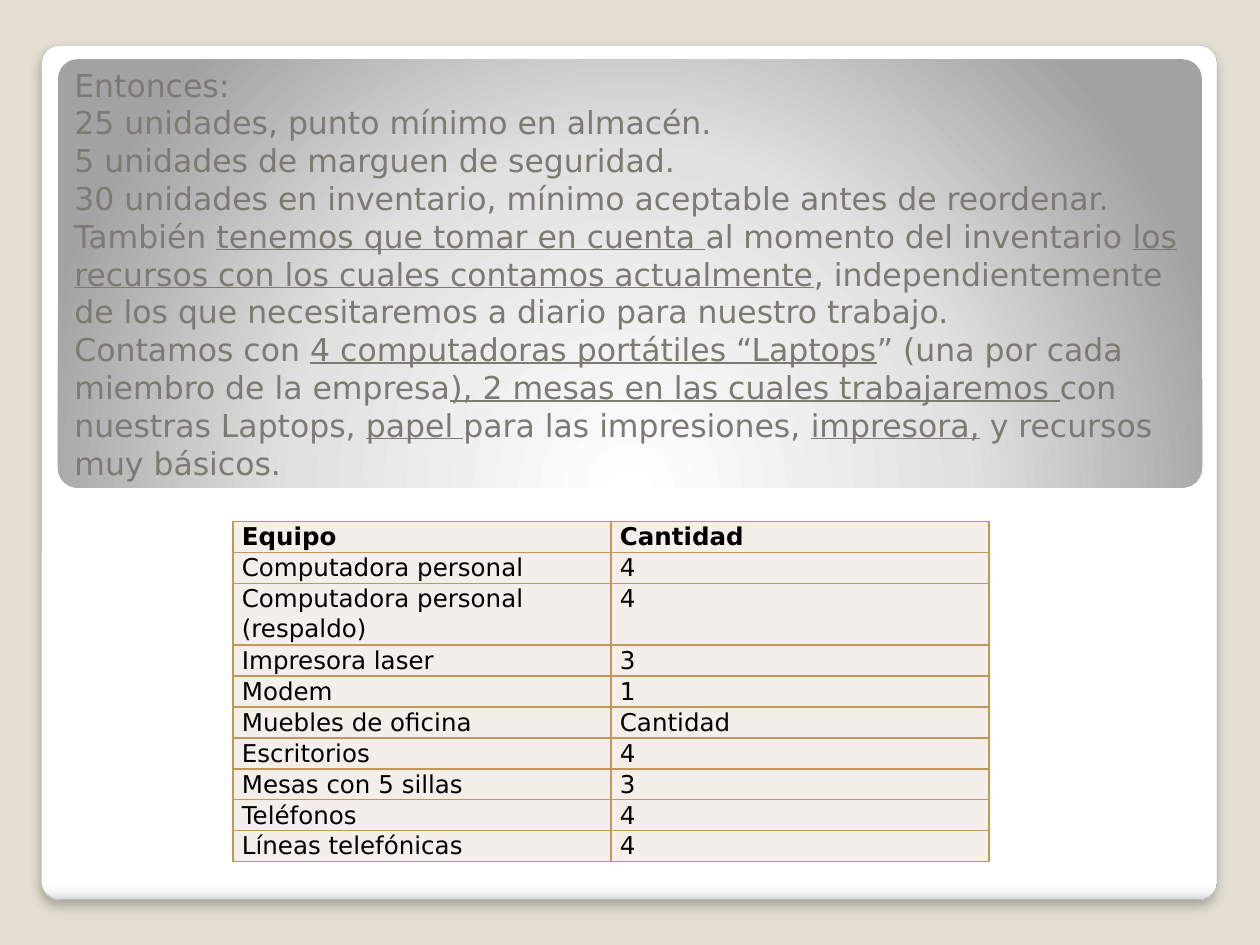
from dataclasses import dataclass

from pptx import Presentation
from pptx import util as u
from pptx.dml.color import RGBColor
from pptx.enum import shapes, text
from pptx.oxml import parse_xml
from pptx.oxml.ns import nsdecls

SAND = RGBColor(0xE3, 0xDE, 0xD1)
GREY = RGBColor(0x7C, 0x7A, 0x72)
EDGE = RGBColor(0xA4, 0xA4, 0xA4)
BLACK = RGBColor(0, 0, 0)
CREAM = RGBColor(0xF4, 0xEF, 0xEA)
GOLD = RGBColor(0xC1, 0x98, 0x59)
FONT = "DejaVu Sans"
LINEAR = '<a:lin ang="5400000" scaled="0"/>'
RADIAL = ('<a:path path="circle"><a:fillToRect l="50000" t="175000" '
          'r="50000" b="-75000"/></a:path>')
SHADOW = ('<a:outerShdw blurRad="76200" dist="50800" dir="5400000" algn="tl" rotWithShape="0">'
          '<a:srgbClr val="000000"><a:alpha val="25000"/></a:srgbClr></a:outerShdw>')
MARK = "_"


@dataclass
class Panel:
    box: tuple[float, float, float, float]
    round: float
    stops: list[tuple[int, str]]
    blend: str
    edge: RGBColor | None = None
    shade: str = ""


PANELS = [
    Panel((0.33, 0.36, 9.33, 6.78), 0.021,
          [(0, "FFFFFF"), (98, "FFFFFF"), (99, "F7F7F7"), (100, "DADADA")],
          LINEAR, EDGE, SHADOW),
    Panel((0.46, 0.47, 9.08, 3.4), 0.046,
          [(0, "FFFFFF"), (55, "E1E1E1"), (100, "A2A2A2")], RADIAL),
]

NOTES = [
    "Entonces:",
    "25 unidades, punto mínimo en almacén.",
    "5 unidades de marguen de seguridad.",
    "30 unidades en inventario, mínimo aceptable antes de reordenar.",
    "También _tenemos que tomar en cuenta _al momento del inventario _los recursos con los "
    "cuales contamos actualmente_, independientemente de los que necesitaremos a diario para "
    "nuestro trabajo.",
    "Contamos con _4 computadoras portátiles “Laptops_” (una por cada miembro de la empresa_), "
    "2 mesas en las cuales trabajaremos _con nuestras Laptops, _papel _para las impresiones, "
    "_impresora,_ y recursos muy básicos.",
]

ROWS = [
    ("Equipo", "Cantidad"),
    ("Computadora personal", "4"),
    ("Computadora personal (respaldo)", "4"),
    ("Impresora laser", "3"),
    ("Modem", "1"),
    ("Muebles de oficina", "Cantidad"),
    ("Escritorios", "4"),
    ("Mesas con 5 sillas", "3"),
    ("Teléfonos", "4"),
    ("Líneas telefónicas", "4"),
]


def write(frame, lines: list[str], *, size: float, color: RGBColor,
          space: float = 1.0, bold: bool = False) -> None:
    for i, line in enumerate(lines):
        para = frame.add_paragraph() if i else frame.paragraphs[0]
        para.alignment = text.PP_ALIGN.LEFT
        para.line_spacing = space
        for j, part in enumerate(line.split(MARK)):
            run = para.add_run()
            run.text = part
            font = run.font
            font.name, font.size, font.bold = FONT, u.Pt(size), bold
            font.underline = j % 2 == 1
            font.color.rgb = color


def draw(slide, panel: Panel) -> None:
    shape = slide.shapes.add_shape(shapes.MSO_SHAPE.ROUNDED_RECTANGLE,
                                   *map(u.Inches, panel.box))
    shape.adjustments[0] = panel.round
    if panel.edge:
        shape.line.color.rgb = panel.edge
        shape.line.width = u.Pt(0.16)
    else:
        shape.line.fill.background()
    stops = "".join(f'<a:gs pos="{pos * 1000}"><a:srgbClr val="{color}"/></a:gs>'
                    for pos, color in panel.stops)
    props = shape.element.spPr
    props.find("./{*}prstGeom").addnext(parse_xml(
        f'<a:gradFill {nsdecls("a")} rotWithShape="1"><a:gsLst>{stops}</a:gsLst>'
        f'{panel.blend}</a:gradFill>'))
    props.append(parse_xml(f'<a:effectLst {nsdecls("a")}>{panel.shade}</a:effectLst>'))


def note(slide) -> None:
    frame = slide.shapes.add_textbox(*map(u.Inches, (0.35, 0.52, 9.29, 5.28))).text_frame
    frame.word_wrap = True
    frame.margin_left, frame.margin_right = u.Inches(0.24), u.Inches(0.1)
    frame.margin_top, frame.margin_bottom = 0, u.Inches(0.05)
    write(frame, NOTES, size=18, color=GREY)


def trim(cell) -> None:
    props = cell._tc.get_or_add_tcPr()
    for side in "LRTB":
        props.append(parse_xml(
            f'<a:ln{side} {nsdecls("a")} w="12700"><a:solidFill><a:srgbClr val="{GOLD}"/>'
            f'</a:solidFill></a:ln{side}>'))
    cell.fill.solid()
    cell.fill.fore_color.rgb = CREAM
    cell.margin_left = cell.margin_right = u.Inches(0.07)
    cell.margin_top = cell.margin_bottom = 0


def stock(slide) -> None:
    grid = slide.shapes.add_table(len(ROWS), 2,
                                  *map(u.Inches, (1.85, 4.14, 6, 2.4))).table
    grid.first_row = grid.horz_banding = False
    for i, row in enumerate(ROWS):
        for j, word in enumerate(row):
            cell = grid.cell(i, j)
            trim(cell)
            write(cell.text_frame, [word], size=14, color=BLACK, space=1.05, bold=i == 0)


def main() -> None:
    deck = Presentation()
    deck.slide_width, deck.slide_height = u.Inches(10), u.Inches(7.5)
    slide = deck.slides.add_slide(deck.slide_layouts[6])
    slide.background.fill.solid()
    slide.background.fill.fore_color.rgb = SAND
    for panel in PANELS:
        draw(slide, panel)
    note(slide)
    stock(slide)
    deck.save("out.pptx")


if __name__ == "__main__":
    main()
